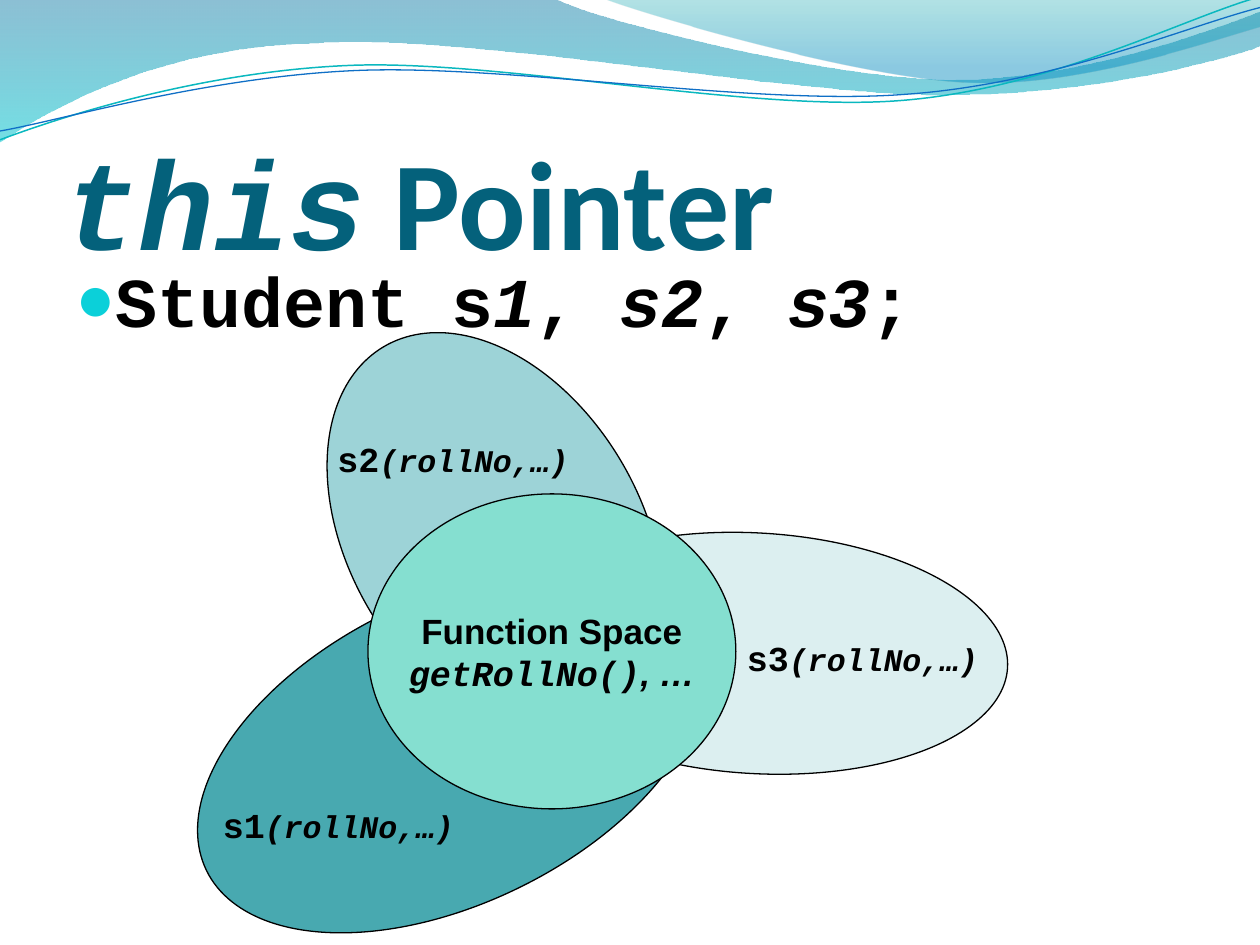
from lxml.etree import Element, SubElement
from pptx import Presentation
from pptx.dml.color import RGBColor
from pptx.enum.shapes import MSO_SHAPE
from pptx.enum.text import MSO_ANCHOR, MSO_AUTO_SIZE, PP_ALIGN
from pptx.oxml.ns import qn
from pptx.util import Inches, Pt

COLORS = {
    "title": "04617B", "text": "000000", "bullet": "0BD0D9", "outline": "000000",
    "s1": "48A9B0", "s2": "9DD3D7", "s3": "DCEFF0", "functions": "85DFD0",
    "band_top": "0074A1", "band_bottom": "00C6CF",
    "crest_top": "00A1A9", "crest_bottom": "008BBF",
    "teal_line": "0AB8BF", "blue_line": "0F6FC6",
}
CODE = {"name": "Courier New", "bold": True, "italic": False}
CODE_ITALIC = CODE | {"italic": True}
ARIAL = {"name": "Arial", "bold": True, "italic": False}
CALIBRI = ARIAL | {"name": "Calibri"}

TITLE = [("this", 72, CODE_ITALIC), (" Pointer", 72, CALIBRI)]
DECLARATION = [
    ("Student s", 40, CODE), ("1", 40, CODE_ITALIC), (", ", 40, CODE),
    ("s2", 40, CODE_ITALIC), (", ", 40, CODE), ("s3", 40, CODE_ITALIC), (";", 40, CODE),
]
FUNCTION_SPACE = [
    [("Function Space", 20, ARIAL)],
    [("getRollNo()", 20, CODE_ITALIC), (", …", 20, ARIAL | {"italic": True})],
]
OBJECT_SPACES = [
    ("s3", (4, 4.23, 4, 1.91), 3.3),
    ("s1", (1.42, 4.75, 4.33, 2.42), 334),
    ("s2", (2.19, 3.09, 3.48, 2.32), 59.4),
]
LABELS = [
    ("s1", (1.67, 6.33, 2.58, 0.44)),
    ("s2", (2.58, 3.42, 3.08, 0.44)),
    ("s3", (5.83, 5, 3.08, 0.44)),
]
BANDS = [
    ([(0, 0), (4.4, -0.01), (4.76, 0.17, 6.64, 0.63, 7.58, 0.63),
      (8.53, 0.63, 9.58, 0.26, 10, 0.09), (10.01, 0.36),
      (9.83, 0.44, 8.7, 0.76, 7.46, 0.75), (6.22, 0.75, 3.82, 0.28, 2.57, 0.34),
      (1.29, 0.36, 0.46, 0.83, -0.01, 1.13), (0, 0)],
     [(0, "band_top", 45), (1, "band_bottom", 55)]),
    ([(4.79, -0.01), (5.09, 0.11, 6.82, 0.62, 7.69, 0.65),
      (8.56, 0.69, 9.61, 0.32, 10, 0.21), (10, 0), (4.79, -0.01)],
     [(0, "crest_top", 30), (0.8, "crest_bottom", 45)]),
]
WAVE_LINES = [
    ([(0, 1.11), (0.48, 0.93, 1.58, 0.57, 2.77, 0.52),
      (3.95, 0.47, 5.93, 0.89, 7.13, 0.8), (8.33, 0.71, 9.38, 0.15, 9.98, -0.02)],
     "teal_line", 0.85),
    ([(0, 1.04), (0.47, 0.96, 1.64, 0.61, 2.83, 0.56),
      (4.03, 0.51, 5.97, 0.84, 7.17, 0.75), (8.36, 0.67, 9.41, 0.21, 10, 0.06)],
     "blue_line", 0.75),
]


def rgb(key):
    return RGBColor.from_string(COLORS[key])


def apply(target, values):
    for attribute, value in values.items():
        setattr(target, attribute, value)


def inches(box):
    return [Inches(length) for length in box]


def write(paragraph, runs, color="text"):
    for text, size, style in runs:
        run = paragraph.add_run()
        run.text = text
        apply(run.font, style | {"size": Pt(size)})
        run.font.color.rgb = rgb(color)


def add_wave(slide, outline, closed):
    start, *segments = [inches(segment) for segment in outline]
    builder = slide.shapes.build_freeform(*start)
    builder.add_line_segments([segment[-2:] for segment in segments], close=closed)
    wave = builder.convert_to_shape()
    wave.shadow.inherit = False
    left, top = wave.left, wave.top
    steps = list(wave.element.spPr.iter(qn("a:lnTo")))
    for step, segment in zip(steps, segments):
        if len(segment) == 2:
            continue
        curve = Element(qn("a:cubicBezTo"))
        for x, y in zip(segment[::2], segment[1::2]):
            SubElement(curve, qn("a:pt"), x=str(x - left), y=str(y - top))
        step.getparent().replace(step, curve)
    return wave


def add_band(slide, outline, stops):
    band = add_wave(slide, outline, True)
    band.line.fill.background()
    band.fill.gradient()
    band.fill.gradient_angle = 270
    for stop, (position, color, _) in zip(band.fill.gradient_stops, stops):
        stop.position = position
        stop.color.rgb = rgb(color)
    tints = list(band.element.spPr.iter(qn("a:srgbClr")))
    for tint, (_, _, opacity) in zip(tints, stops):
        SubElement(tint, qn("a:alpha"), val=str(opacity * 1000))


def add_wave_line(slide, outline, color, width):
    wave = add_wave(slide, outline, False)
    wave.fill.background()
    wave.line.color.rgb = rgb(color)
    wave.line.width = Pt(width)


def add_ellipse(slide, color, box, rotation=0):
    ellipse = slide.shapes.add_shape(MSO_SHAPE.OVAL, *inches(box))
    ellipse.rotation = rotation
    ellipse.shadow.inherit = False
    ellipse.fill.solid()
    ellipse.fill.fore_color.rgb = rgb(color)
    ellipse.line.color.rgb = rgb("outline")
    ellipse.line.width = Pt(0.75)
    return ellipse


def add_text(slide, box, runs):
    frame = slide.shapes.add_textbox(*inches(box)).text_frame
    frame.word_wrap = True
    write(frame.paragraphs[0], runs)
    return frame.paragraphs[0]


def add_title(slide):
    title = slide.shapes.title
    title.element.getparent().append(title.element)
    apply(title, dict(zip(("left", "top", "width", "height"), inches((0.5, 0.94, 9, 1.25)))))
    apply(title.text_frame, {
        "margin_left": 0, "margin_top": Inches(0.05), "margin_right": 0, "margin_bottom": 0,
        "vertical_anchor": MSO_ANCHOR.BOTTOM, "auto_size": MSO_AUTO_SIZE.NONE,
        "word_wrap": True,
    })
    heading = title.text_frame.paragraphs[0]
    heading.alignment = PP_ALIGN.LEFT
    write(heading, TITLE, "title")


def add_declaration(slide):
    declaration = add_text(slide, (0.5, 2.12, 9, 4.8), DECLARATION)
    declaration.line_spacing = 0.8
    properties = declaration._p.get_or_add_pPr()
    properties.set("marL", str(Inches(0.3)))
    properties.set("indent", str(Inches(-0.3)))
    SubElement(SubElement(properties, qn("a:buClr")), qn("a:srgbClr"), val=COLORS["bullet"])
    SubElement(properties, qn("a:buSzPct"), val="95000")
    SubElement(properties, qn("a:buFont"), typeface="Arial")
    SubElement(properties, qn("a:buChar"), char="●")


def add_diagram(slide):
    for name, box, rotation in OBJECT_SPACES:
        add_ellipse(slide, name, box, rotation)
    frame = add_ellipse(slide, "functions", (2.92, 3.92, 2.92, 2.5)).text_frame
    apply(frame, {"word_wrap": False, "vertical_anchor": MSO_ANCHOR.MIDDLE})
    frame.add_paragraph()
    for paragraph, runs in zip(frame.paragraphs, FUNCTION_SPACE):
        paragraph.alignment = PP_ALIGN.CENTER
        write(paragraph, runs)
    for name, box in LABELS:
        add_text(slide, box, [(name, 20, CODE), ("(rollNo,…)", 18, CODE_ITALIC)])


def main():
    deck = Presentation()
    apply(deck, {"slide_width": Inches(10), "slide_height": Inches(7.5)})
    slide = deck.slides.add_slide(deck.slide_layouts[5])
    for band in BANDS:
        add_band(slide, *band)
    for wave_line in WAVE_LINES:
        add_wave_line(slide, *wave_line)
    add_title(slide)
    add_declaration(slide)
    add_diagram(slide)
    deck.save("out.pptx")


if __name__ == "__main__":
    main()
